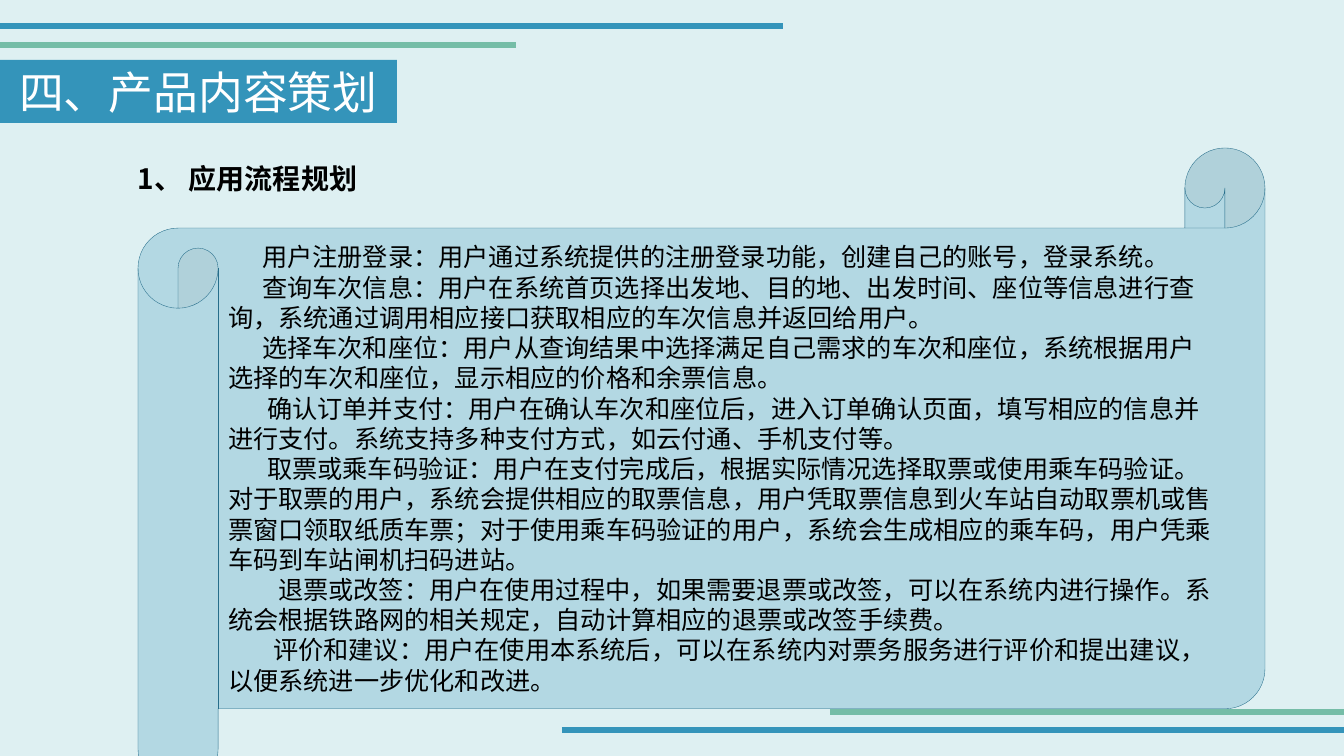
from lxml import etree
from pptx import Presentation
from pptx.dml.color import RGBColor
from pptx.enum.shapes import MSO_CONNECTOR, MSO_SHAPE
from pptx.enum.text import MSO_ANCHOR, PP_ALIGN
from pptx.oxml.ns import qn
from pptx.util import Pt

EMU_PER_PX = 914400 / 100.8
FONT = "Noto Sans CJK SC"
COLORS = {
    "background": "DEF0F2",
    "blue": "3494BA",
    "green": "75BDA7",
    "outline": "266D8A",
    "white": "FFFFFF",
    "black": "000000",
}
STRAIGHT = MSO_CONNECTOR.STRAIGHT
RECTANGLE = MSO_SHAPE.RECTANGLE
SCROLL = MSO_SHAPE.HORIZONTAL_SCROLL
MIDDLE = MSO_ANCHOR.MIDDLE
LEFT, CENTER = PP_ALIGN.LEFT, PP_ALIGN.CENTER

BARS = [
    (0, 516, 45, "green"),
    (0, 783, 26, "blue"),
    (830, 1344, 712, "green"),
    (562, 1344, 730, "blue"),
]
STEPS = [
    (34, "用户注册登录：用户通过系统提供的注册登录功能，创建自己的账号，登录系统。"),
    (34, "查询车次信息：用户在系统首页选择出发地、目的地、出发时间、座位等信息进行查询，"
         "系统通过调用相应接口获取相应的车次信息并返回给用户。"),
    (34, "选择车次和座位：用户从查询结果中选择满足自己需求的车次和座位，"
         "系统根据用户选择的车次和座位，显示相应的价格和余票信息。"),
    (39, "确认订单并支付：用户在确认车次和座位后，进入订单确认页面，"
         "填写相应的信息并进行支付。系统支持多种支付方式，如云付通、手机支付等。"),
    (39, "取票或乘车码验证：用户在支付完成后，根据实际情况选择取票或使用乘车码验证。"
         "对于取票的用户，系统会提供相应的取票信息，"
         "用户凭取票信息到火车站自动取票机或售票窗口领取纸质车票；"
         "对于使用乘车码验证的用户，系统会生成相应的乘车码，"
         "用户凭乘车码到车站闸机扫码进站。"),
    (50, "退票或改签：用户在使用过程中，如果需要退票或改签，可以在系统内进行操作。"
         "系统会根据铁路网的相关规定，自动计算相应的退票或改签手续费。"),
    (45, "评价和建议：用户在使用本系统后，可以在系统内对票务服务进行评价和提出建议，"
         "以便系统进一步优化和改进。"),
]


def px(n):
    """Turn pixels into EMU."""
    return round(n * EMU_PER_PX)


def rgb(name):
    """Look up a named colour."""
    return RGBColor.from_string(COLORS[name])


def add_bar(slide, x1, x2, y, color):
    """Draw one horizontal decorative line."""
    c = slide.shapes.add_connector(STRAIGHT, px(x1), px(y), px(x2), px(y))
    c.line.color.rgb = rgb(color)
    c.line.width = Pt(4.5)
    etree.SubElement(c._element.spPr, qn("a:effectLst"))


def add_box(slide, kind, box, fill):
    """Draw a filled preset shape without outline or shadow."""
    sp = slide.shapes.add_shape(kind, *map(px, box))
    sp.shadow.inherit = False
    sp.fill.solid()
    sp.fill.fore_color.rgb = rgb(fill)
    sp.line.fill.background()
    return sp


def set_alpha(sp, percent):
    """Make the solid fill of a shape partly transparent."""
    color = sp._element.spPr.find(qn("a:solidFill"))[0]
    etree.SubElement(color, qn("a:alpha"), val=str(percent * 1000))


def write(sp, lines, size, color, align=LEFT, bold=False):
    """Fill a shape with paragraphs of (first-line indent, text)."""
    tf = sp.text_frame
    tf.word_wrap = True
    tf.vertical_anchor = MIDDLE
    for i, (indent, text) in enumerate(lines):
        p = tf.paragraphs[0] if i == 0 else tf.add_paragraph()
        p.text = text
        p.alignment = align
        p.font.size = Pt(size)
        p.font.bold = bold
        p.font.name = FONT
        p.font.color.rgb = rgb(color)
        pPr = p._p.get_or_add_pPr()
        pPr.set("marL", "0")
        pPr.set("indent", str(px(indent)))
        etree.SubElement(pPr.find(qn("a:defRPr")), qn("a:ea"), typeface=FONT)


def main():
    """Build and save the slide."""
    prs = Presentation()
    prs.slide_width, prs.slide_height = px(1344), px(756)
    slide = prs.slides.add_slide(prs.slide_layouts[6])
    slide.background.fill.solid()
    slide.background.fill.fore_color.rgb = rgb("background")

    for bar in BARS:
        add_bar(slide, *bar)

    title = add_box(slide, RECTANGLE, (0, 60, 397, 63), "blue")
    write(title, [(0, "四、产品内容策划")], 32, "white", CENTER)

    scroll = add_box(slide, SCROLL, (138, 148, 1127, 641), "blue")
    set_alpha(scroll, 25)
    scroll.line.color.rgb = rgb("outline")
    scroll.line.width = Pt(0.25)
    write(scroll, STEPS, 18, "black")

    heading = slide.shapes.add_textbox(px(128), px(156), px(585), px(44))
    write(heading, [(0, "1、 应用流程规划")], 20, "black", bold=True)

    prs.save("out.pptx")


if __name__ == "__main__":
    main()
